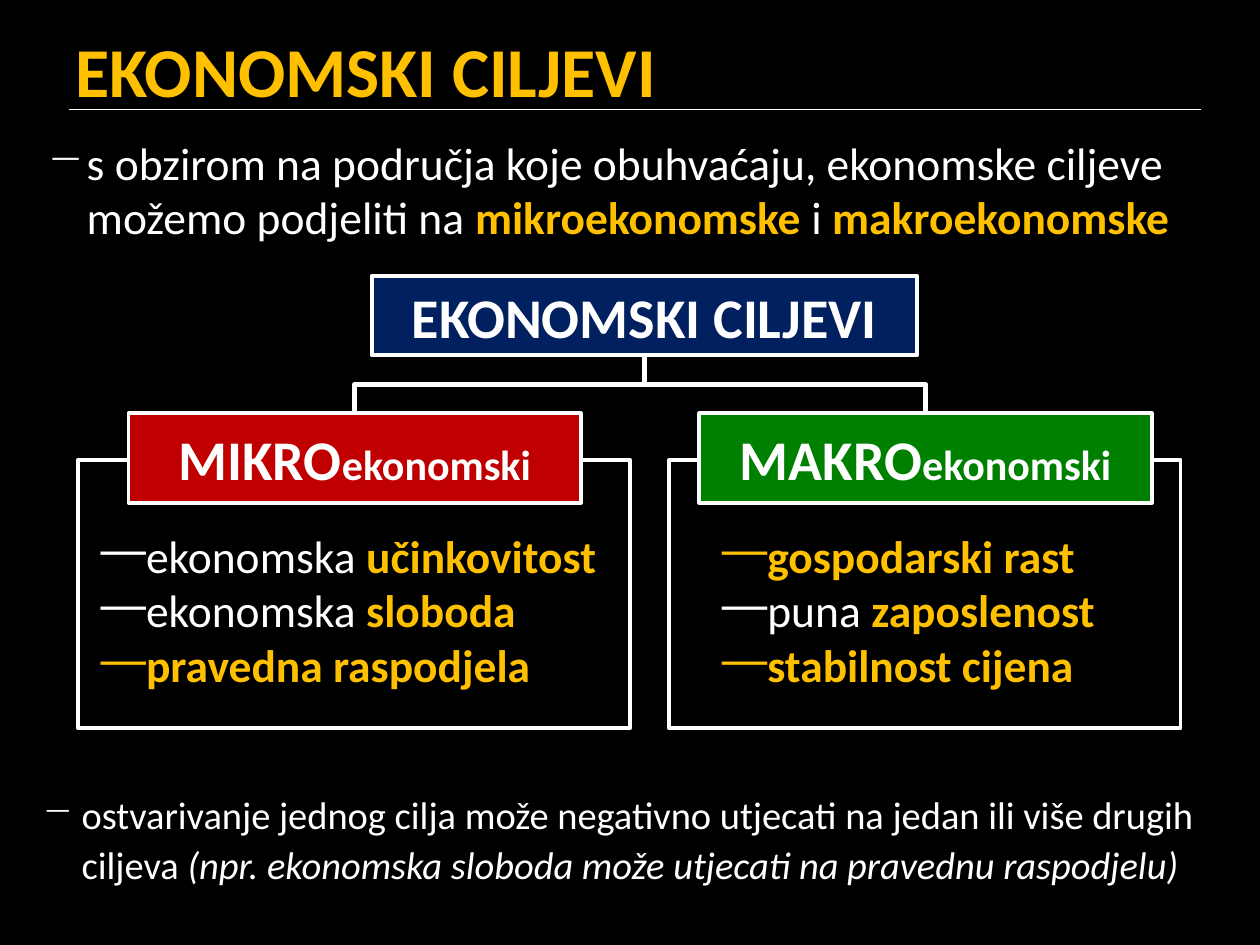
from lxml import etree
from pptx import Presentation
from pptx.dml.color import RGBColor
from pptx.enum.shapes import MSO_CONNECTOR, MSO_SHAPE
from pptx.enum.text import MSO_ANCHOR, PP_ALIGN
from pptx.oxml.ns import qn
from pptx.util import Inches, Pt

RECT, ELBOW, STRAIGHT = MSO_SHAPE.RECTANGLE, MSO_CONNECTOR.ELBOW, MSO_CONNECTOR.STRAIGHT
MIDDLE, CENTER, LEFT = MSO_ANCHOR.MIDDLE, PP_ALIGN.CENTER, PP_ALIGN.LEFT

THEME = {
    "font": "Calibri", "bg": "000000", "text": "FFFFFF", "accent": "FFC000", "bullet": "F9F9F9",
    "root": "002060", "micro": "C00000", "macro": "008000",
    "title": 40, "heading": 32, "body": 26, "small": 24, "note": 22,
}

TITLE = "EKONOMSKI CILJEVI"
INTRO = [("s obzirom na područja koje obuhvaćaju, ekonomske ciljeve možemo podjeliti na ", ""),
         ("mikroekonomske", "key"), (" i ", ""), ("makroekonomske", "key")]
NOTE = [("ostvarivanje jednog cilja može negativno utjecati na jedan ili više drugih ciljeva ", ""),
        ("(npr. ekonomska sloboda može utjecati na pravednu raspodjelu)", "italic")]
ROOT_BOX = (2.95, 2.19, 4.33, 0.63)
BRANCHES = [
    {"prefix": "MIKRO", "fill": "micro", "head": (1.02, 3.28, 3.59, 0.71),
     "frame": (0.62, 3.65, 4.38, 2.13), "list": (0.7, 4.14, 4.3, 1.41),
     "goals": [[("ekonomska ", ""), ("učinkovitost", "key")],
               [("ekonomska ", ""), ("sloboda", "key")],
               [("pravedna raspodjela", "key")]]},
    {"prefix": "MAKRO", "fill": "macro", "head": (5.55, 3.28, 3.59, 0.71),
     "frame": (5.31, 3.65, 4.06, 2.13), "list": (5.63, 4.14, 3.59, 1.41),
     "goals": [[("gospodarski rast", "key")],
               [("puna ", ""), ("zaposlenost", "key")],
               [("stabilnost cijena", "key")]]},
]


def rgb(name):
    return RGBColor.from_string(THEME[name])


def add_run(p, text, size, color="text", bold=False, italic=False):
    r = p.add_run()
    r.text = text
    r.font.name, r.font.size = THEME["font"], Pt(THEME[size])
    r.font.bold, r.font.italic = bold, italic
    r.font.color.rgb = rgb(color)


def add_bullet(p, char, margin, indent, color=None):
    pPr = p._p.get_or_add_pPr()
    pPr.set("marL", str(Inches(margin)))
    pPr.set("indent", str(Inches(indent)))
    if color:
        clr = etree.SubElement(pPr, qn("a:buClr"))
        etree.SubElement(clr, qn("a:srgbClr")).set("val", THEME[color])
    etree.SubElement(pPr, qn("a:buChar")).set("char", char)


def add_bullets(slide, box, paragraphs, size, char, margin, indent, color=None, spacing=None):
    tf = slide.shapes.add_textbox(*map(Inches, box)).text_frame
    tf.word_wrap = True
    for i, parts in enumerate(paragraphs):
        p = tf.paragraphs[0] if i == 0 else tf.add_paragraph()
        add_bullet(p, char, margin, indent, color)
        if spacing:
            p.line_spacing = Pt(spacing)
        for text, style in parts:
            key = style == "key"
            add_run(p, text, size, "accent" if key else "text", key, style == "italic")


def add_box(slide, box, fill=None, parts=()):
    s = slide.shapes.add_shape(RECT, *map(Inches, box))
    s.shadow.inherit = False
    if fill:
        s.fill.solid()
        s.fill.fore_color.rgb = rgb(fill)
    else:
        s.fill.background()
    s.line.color.rgb, s.line.width = rgb("text"), Pt(2.25)
    s.text_frame.vertical_anchor = MIDDLE
    p = s.text_frame.paragraphs[0]
    p.alignment = CENTER
    for text, size in parts:
        add_run(p, text, size, bold=True)
    return s


def style_line(c, width):
    c.line.color.rgb, c.line.width = rgb("text"), Pt(width)
    etree.SubElement(c._element.spPr, qn("a:effectLst"))


def join_down(slide, upper, lower):
    """Join a box's bottom to a lower box's top with a vertical elbow."""
    x1, y1 = upper.left + upper.width // 2, upper.top + upper.height
    x2, y2 = lower.left + lower.width // 2, lower.top
    c = slide.shapes.add_connector(ELBOW, x1, y1, x2, y2)
    c.begin_connect(upper, 2)
    c.end_connect(lower, 0)
    drop, reach = y2 - y1, abs(x2 - x1)
    c.left, c.top = (x1 + x2 - drop) // 2, (y1 + y2 - reach) // 2
    c.width, c.height = drop, reach
    xfrm = c._element.spPr.find(qn("a:xfrm"))
    to_right = x2 > x1
    xfrm.set("rot", str((270 if to_right else 90) * 60000))
    xfrm.set("flipH", "1" if to_right else "0")
    style_line(c, 3)


def main():
    prs = Presentation()
    prs.slide_width, prs.slide_height = Inches(10), Inches(7.5)
    slide = prs.slides.add_slide(prs.slide_layouts[5])
    slide.background.fill.solid()
    slide.background.fill.fore_color.rgb = rgb("bg")

    title = slide.shapes.title
    title.left, title.top, title.width, title.height = map(Inches, (0.5, 0.08, 9.19, 0.95))
    title.text_frame.vertical_anchor = MIDDLE
    p = title.text_frame.paragraphs[0]
    p.alignment = LEFT
    add_run(p, TITLE, "title", "accent", True)
    rule = slide.shapes.add_connector(STRAIGHT, *map(Inches, (0.55, 0.87, 9.53, 0.87)))
    style_line(rule, 1)

    add_bullets(slide, (0, 1.02, 10, 0.94), [INTRO], "body", "−", 0.59, -0.31, "bullet")
    root = add_box(slide, ROOT_BOX, "root", [(TITLE, "heading")])
    for b in BRANCHES:
        add_box(slide, b["frame"])
        head = add_box(slide, b["head"], b["fill"],
                       [(b["prefix"], "heading"), ("ekonomski", "small")])
        join_down(slide, root, head)
        add_bullets(slide, b["list"], b["goals"], "body", "—", 0.12, -0.39)
    add_bullets(slide, (0, 6.19, 10, 0.94), [NOTE], "note", "−", 0.55, -0.31, "bullet", 29)

    prs.save("out.pptx")


if __name__ == "__main__":
    main()
